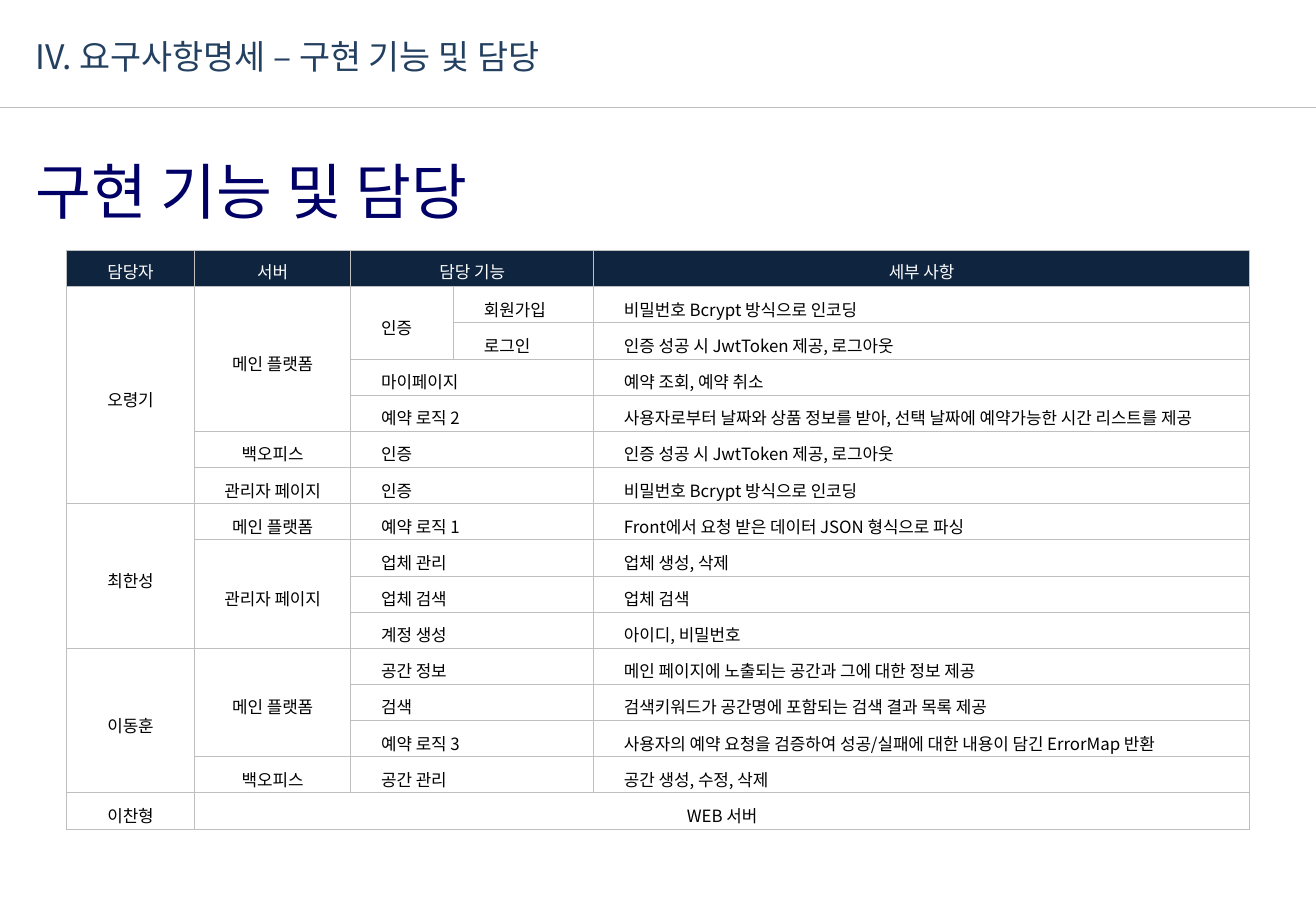
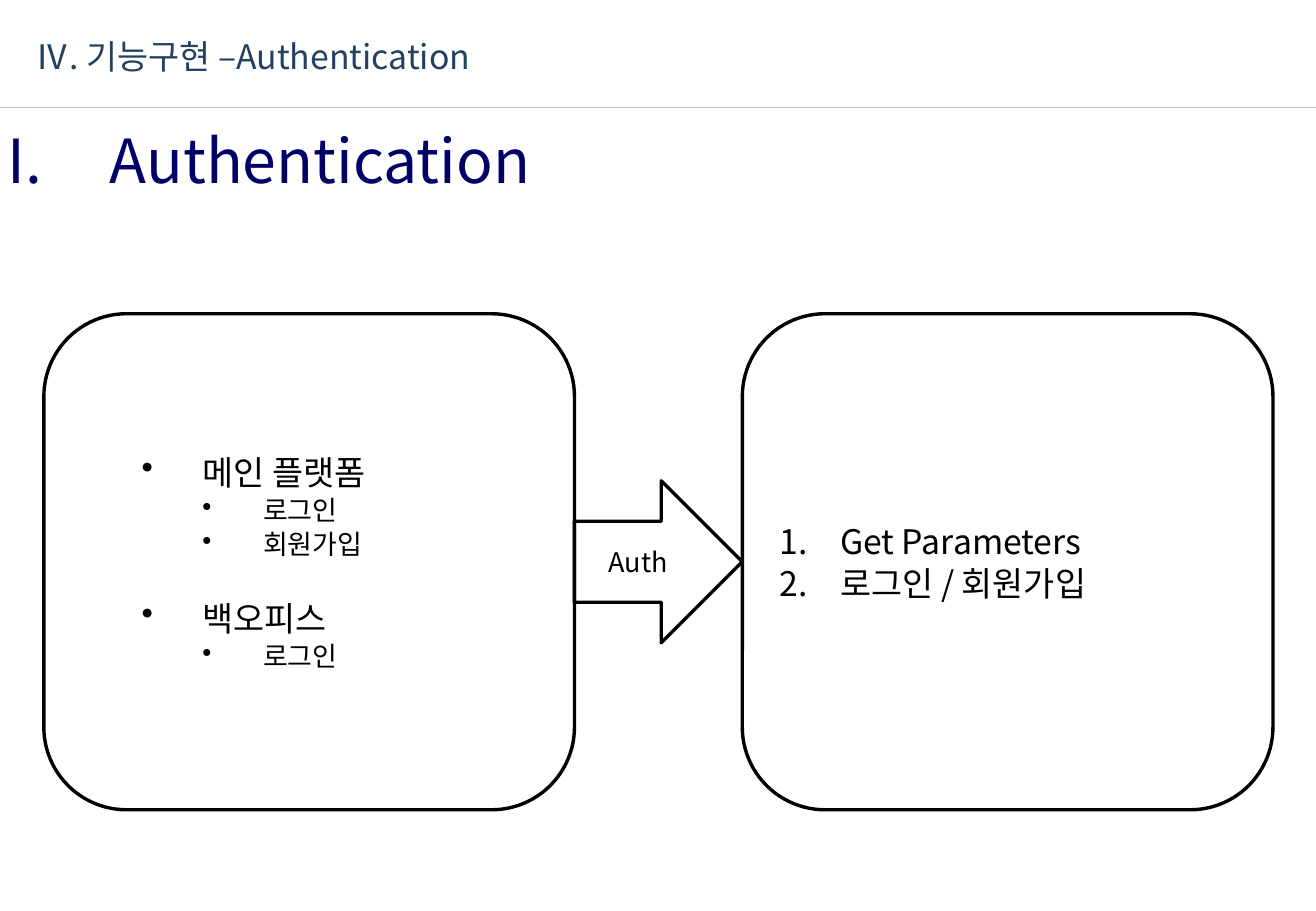
import pptx
import pptx.util
import pptx.dml.color
import pptx.enum.shapes
import pptx.enum.text
from dataclasses import dataclass
from lxml import etree

Pt = pptx.util.Pt
RGB = pptx.dml.color.RGBColor.from_string
Align = pptx.enum.text.PP_ALIGN
Anchor = pptx.enum.text.MSO_ANCHOR
Preset = pptx.enum.shapes.MSO_SHAPE
A = "{http://schemas.openxmlformats.org/drawingml/2006/main}"


@dataclass(frozen=True)
class Theme:
    font: str = "Noto Sans CJK KR"
    section: str = "244060"
    heading: str = "000066"
    ink: str = "000000"
    white: str = "FFFFFF"
    header_fill: str = "0F243E"
    rule: str = "BEBEBE"
    grid: str = "BFBFBF"
    section_size: int = 20
    heading_size: int = 36
    item_size: int = 20
    detail_size: int = 16
    cell_size: int = 10


theme = Theme()


def style(paragraph, size, color, align=Align.LEFT):
    paragraph.alignment = align
    for run in paragraph.runs:
        run.font.size = Pt(size)
        run.font.color.rgb = RGB(color)
        run.font.name = theme.font
        latin = run.font._element.find(A + "latin")
        latin.addnext(etree.Element(A + "ea", typeface=theme.font))


def add_content_slide(section, heading, left, top, width):
    slide = deck.slides.add_slide(title_only)
    heading_box = slide.shapes.add_textbox(Pt(left), Pt(top), Pt(width), Pt(45))
    title = slide.shapes.title
    title.left, title.top, title.width, title.height = Pt(20), Pt(20), Pt(340), Pt(25)
    for box, text, size, color in (
        (title, section, theme.section_size, theme.section),
        (heading_box, heading, theme.heading_size, theme.heading),
    ):
        frame = box.text_frame
        frame.text = text
        frame.word_wrap = True
        frame.auto_size = pptx.enum.text.MSO_AUTO_SIZE.NONE
        frame.vertical_anchor = Anchor.TOP
        frame.margin_left = frame.margin_right = frame.margin_bottom = 0
        frame.margin_top = Pt(1)
        properties = frame.paragraphs[0]._p.get_or_add_pPr()
        properties.set("marL", str(Pt(1)))
        if "\t" in text:
            tabs = etree.SubElement(properties, A + "tabLst")
            etree.SubElement(tabs, A + "tab", pos=str(Pt(60.5)), algn="l")
        style(frame.paragraphs[0], size, color)
    return slide


deck = pptx.Presentation()
deck.slide_width, deck.slide_height = Pt(780), Pt(540)
title_only = deck.slide_layouts[5]

# Slide 1: features and owners
features = add_content_slide(
    "IV. 요구사항명세 – 구현 기능 및 담당", "구현 기능 및 담당", 20, 90, 430)

# Shared rule under the section title, moved onto the layout
rule = features.shapes.add_connector(
    pptx.enum.shapes.MSO_CONNECTOR.STRAIGHT, 0, Pt(63.5), Pt(780), Pt(63.5))
rule.line.color.rgb = RGB(theme.rule)
rule.line.width = Pt(0.25)
etree.SubElement(rule.element.spPr, A + "effectLst")
title_only.shapes.element.append(rule.element)

# None continues the cell to the left (<) or above (^)
rows = [
    ("담당자", "서버", "담당 기능", "<", "세부 사항"),
    ("오령기", "메인 플랫폼", "인증", "회원가입", "비밀번호 Bcrypt 방식으로 인코딩"),
    ("^", "^", "^", "로그인", "인증 성공 시 JwtToken 제공, 로그아웃"),
    ("^", "^", "마이페이지", "<", "예약 조회, 예약 취소"),
    ("^", "^", "예약 로직 2", "<",
     "사용자로부터 날짜와 상품 정보를 받아, 선택 날짜에 예약가능한 시간 리스트를 제공"),
    ("^", "백오피스", "인증", "<", "인증 성공 시 JwtToken 제공, 로그아웃"),
    ("^", "관리자 페이지", "인증", "<", "비밀번호 Bcrypt 방식으로 인코딩"),
    ("최한성", "메인 플랫폼", "예약 로직 1", "<", "Front에서 요청 받은 데이터 JSON 형식으로 파싱"),
    ("^", "관리자 페이지", "업체 관리", "<", "업체 생성, 삭제"),
    ("^", "^", "업체 검색", "<", "업체 검색"),
    ("^", "^", "계정 생성", "<", "아이디, 비밀번호"),
    ("이동훈", "메인 플랫폼", "공간 정보", "<", "메인 페이지에 노출되는 공간과 그에 대한 정보 제공"),
    ("^", "^", "검색", "<", "검색키워드가 공간명에 포함되는 검색 결과 목록 제공"),
    ("^", "^", "예약 로직 3", "<",
     "사용자의 예약 요청을 검증하여 성공/실패에 대한 내용이 담긴 ErrorMap 반환"),
    ("^", "백오피스", "공간 관리", "<", "공간 생성, 수정, 삭제"),
    ("이찬형", "WEB 서버", "<", "<", "<"),
]
widths = [75.9, 92.6, 61, 83, 388.8]
row_height = 21.45
duties = features.shapes.add_table(
    len(rows), len(widths), Pt(39.4), Pt(148.5),
    Pt(sum(widths)), Pt(row_height * len(rows))).table
for column, width in zip(duties.columns, widths):
    column.width = Pt(width)

for r, row in enumerate(rows):
    duties.rows[r].height = Pt(row_height)
    for c, text in enumerate(row):
        cell = duties.cell(r, c)
        cell.margin_left = cell.margin_right = cell.margin_bottom = 0
        cell.margin_top = Pt(3 if r == 0 else 5)
        cell.vertical_anchor = Anchor.MIDDLE
        properties = cell._tc.get_or_add_tcPr()
        for side in ("lnL", "lnR", "lnT", "lnB"):
            border = etree.SubElement(properties, A + side, w=str(Pt(0.5)))
            ink = etree.SubElement(border, A + "solidFill")
            etree.SubElement(ink, A + "srgbClr", val=theme.grid)
        if r == 0:
            cell.fill.solid()
            cell.fill.fore_color.rgb = RGB(theme.header_fill)
        else:
            cell.fill.background()
        if text in ("<", "^"):
            continue

        cell.text = text
        paragraph = cell.text_frame.paragraphs[0]
        centred = r == 0 or c < 2
        if not centred:
            paragraph._p.get_or_add_pPr().set("marL", str(Pt(18)))
        style(paragraph, theme.cell_size, theme.white if r == 0 else theme.ink,
              Align.CENTER if centred else Align.LEFT)

        # Merge with the continuation marks to the right or below
        last_row, last_column = r, c
        while last_column + 1 < len(row) and row[last_column + 1] == "<":
            last_column += 1
        while last_row + 1 < len(rows) and rows[last_row + 1][c] == "^":
            last_row += 1
        if (last_row, last_column) != (r, c):
            cell.merge(duties.cell(last_row, last_column))

# Slide 2: authentication flow
authentication = add_content_slide(
    "Ⅳ. 기능구현 –Authentication", "I. \tAuthentication", 3.6, 72, 392)

# Each line: text, left indent, size, space before, bullet tag and attributes
dot = ("buChar", {"char": "•"})
number = ("buAutoNum", {"type": "arabicPeriod"})
item, detail = theme.item_size, theme.detail_size
platforms = [
    ("메인 플랫폼", 72.5, item, 0, dot),
    ("로그인", 108.5, detail, 1, dot),
    ("회원가입", 108.5, detail, 1, dot),
    ("백오피스", 72.5, item, 22, dot),
    ("로그인", 108.5, detail, 1, dot),
]
steps = [
    ("Get Parameters", 36.5, item, 0, number),
    ("로그인 / 회원가입", 36.5, item, 1, number),
]
auth_label = [("Auth", 0, detail, 0, None)]

box_left, box_top, box_width, box_height = 26, 186, 314.5, 294
arrow_width, arrow_height = 99.5, 96
arrow_left = box_left + box_width
arrow_top = box_top + (box_height - arrow_height) / 2
for preset, left, top, width, height, lines in (
    (Preset.ROUNDED_RECTANGLE, box_left, box_top, box_width, box_height, platforms),
    (Preset.ROUNDED_RECTANGLE, arrow_left + arrow_width, box_top, box_width, box_height, steps),
    (Preset.RIGHT_ARROW, arrow_left, arrow_top, arrow_width, arrow_height, auth_label),
):
    stage = authentication.shapes.add_shape(preset, Pt(left), Pt(top), Pt(width), Pt(height))
    stage.shadow.inherit = False
    stage.fill.background()
    stage.line.color.rgb = RGB(theme.ink)
    stage.line.width = Pt(2)
    frame = stage.text_frame
    frame.word_wrap = True
    frame.vertical_anchor = Anchor.MIDDLE
    frame.text = "\n".join(line[0] for line in lines)
    for paragraph, (_, indent, size, before, bullet) in zip(frame.paragraphs, lines):
        if bullet:
            properties = paragraph._p.get_or_add_pPr()
            properties.set("marL", str(Pt(indent)))
            properties.set("indent", str(Pt(-36)))
            etree.SubElement(properties, A + bullet[0], bullet[1])
        if before:
            paragraph.space_before = Pt(before)
        style(paragraph, size, theme.ink, Align.LEFT if bullet else Align.CENTER)

deck.save("out.pptx")
